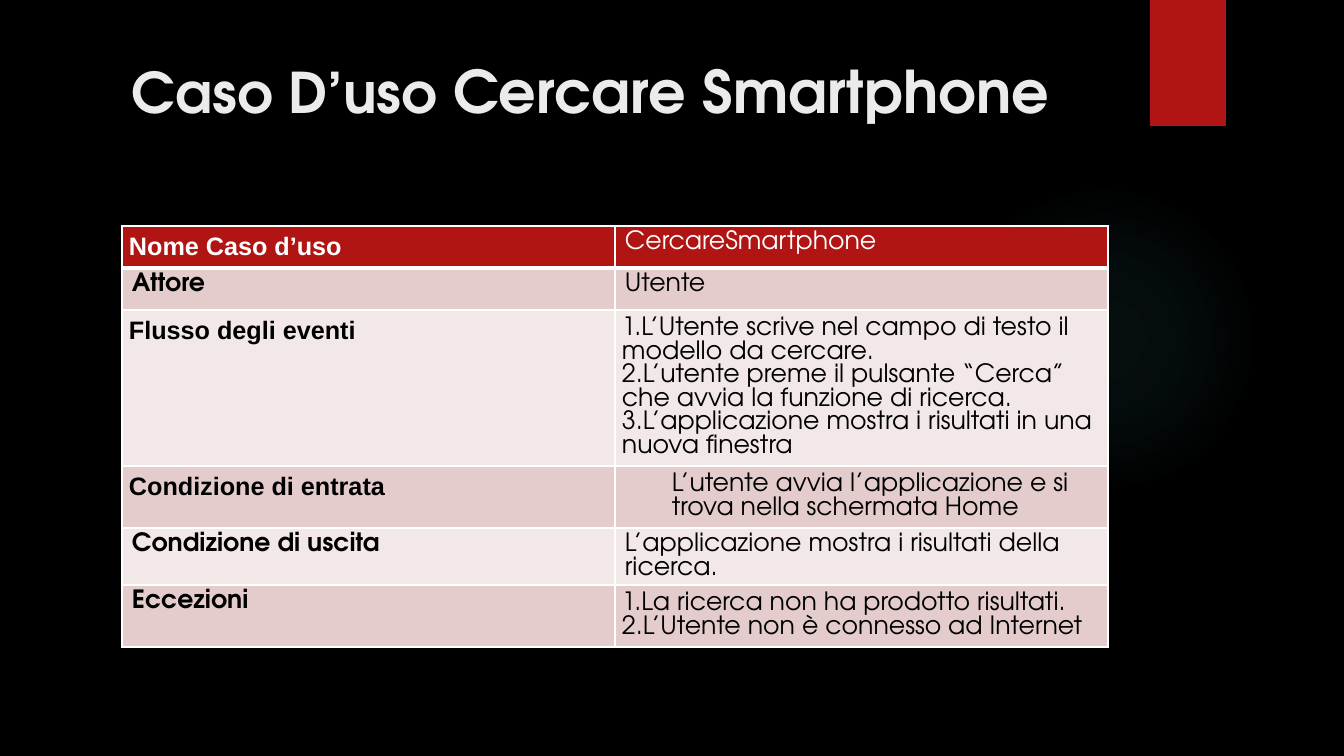
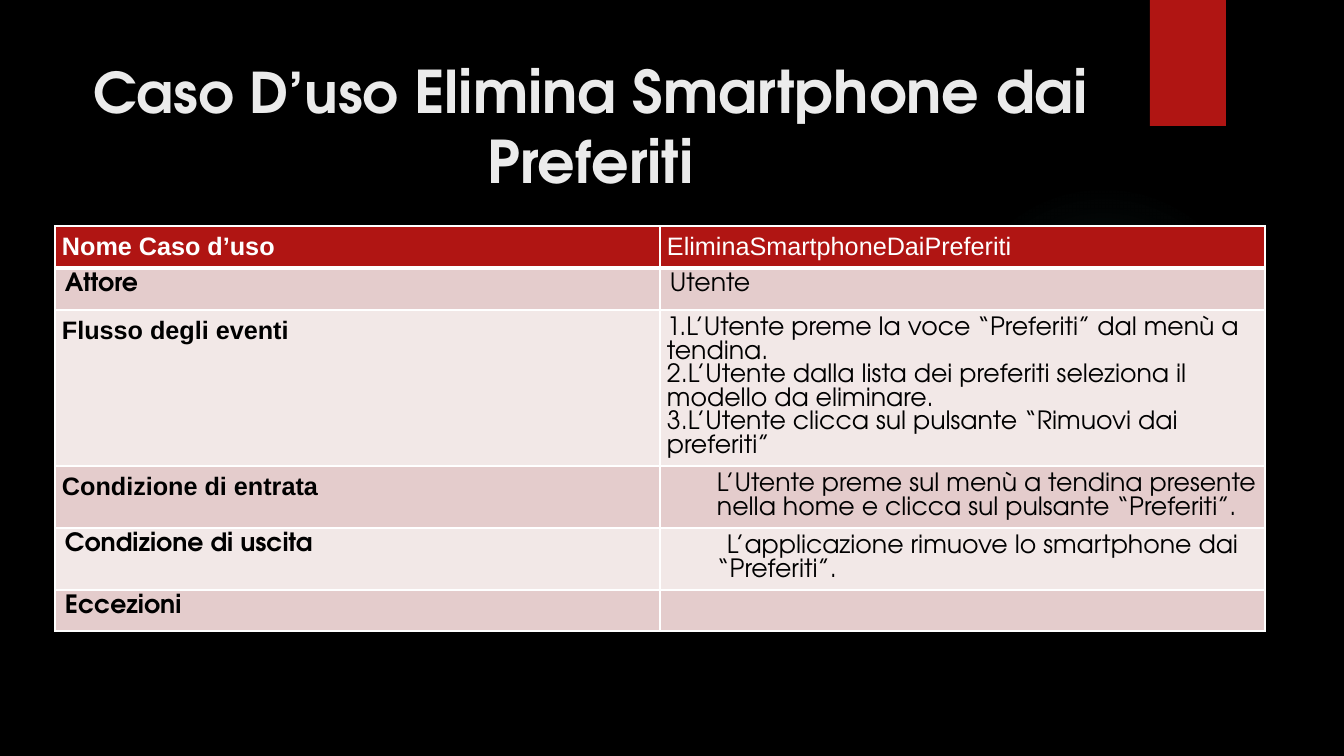
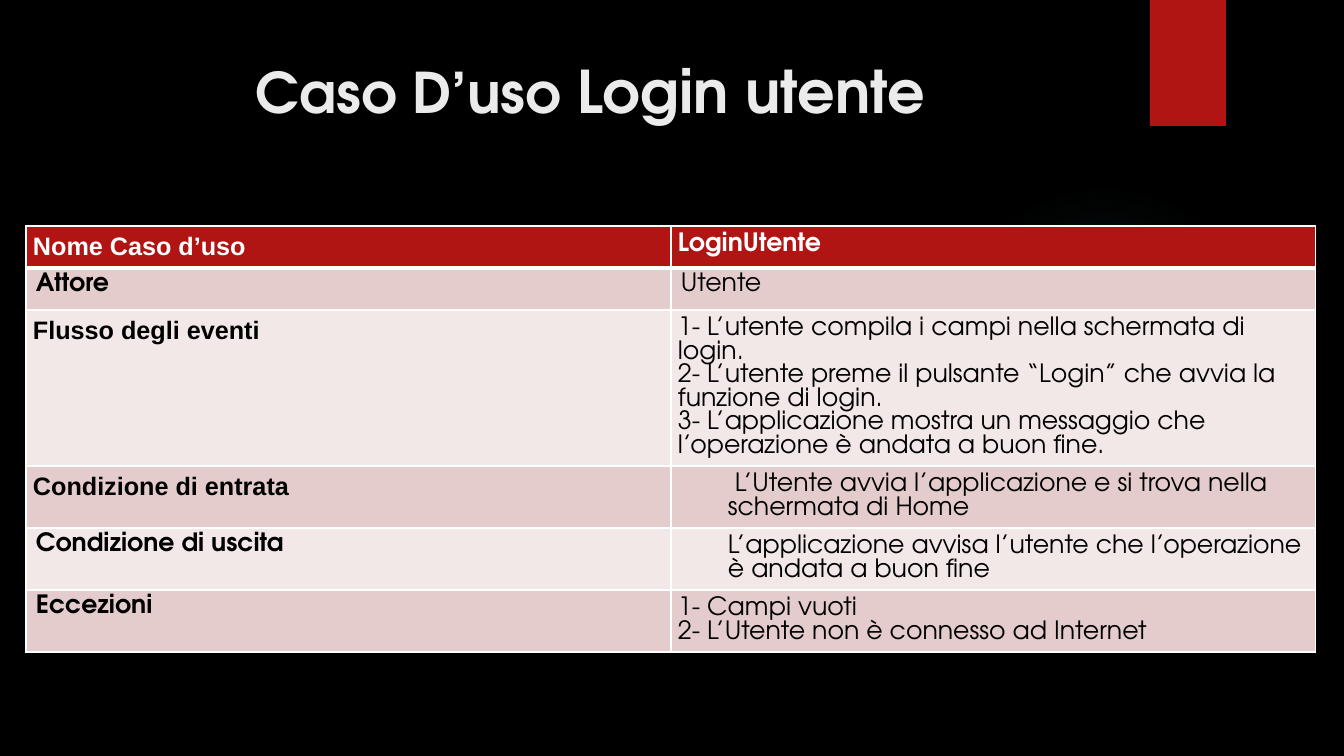
from dataclasses import dataclass

from lxml.etree import SubElement
from pptx import Presentation
from pptx.dml.color import RGBColor
from pptx.enum.shapes import MSO_SHAPE
from pptx.enum.text import MSO_ANCHOR, MSO_AUTO_SIZE, PP_ALIGN
from pptx.oxml import parse_xml
from pptx.oxml.ns import nsdecls, qn
from pptx.util import Emu, Pt


@dataclass(frozen=True)
class Theme:
    background: str = "000000"
    accent: str = "B01513"
    glow: str = "50B9C1"
    heading: str = "EBEBEB"
    white: str = "FFFFFF"
    ink: str = "000000"
    odd_row: str = "E4CCCC"
    even_row: str = "F2E8E7"
    display: str = "TeX Gyre Adventor"
    plain: str = "Arial"
    prefix_size: int = 40
    title_size: int = 42
    title_leading: float = 50
    cell_size: int = 18
    cell_leading: float = 16.8


THEME = Theme()
SLIDE = (1344, 756)
TITLE_BOX = (72, 50, 1037, 154)
BAND_BOX = (1150, 0, 76, 126)
GLOW_BOX = (949, 184, 310, 310)
GLOW_STOPS = [(0, 7), (36, 6), (69, 0)]
TABLE_TOP = 226
WIDE_INSETS = (10, 5, 10, 5)
TIGHT_INSETS = (7, 7, 7, 4)
TITLE_PREFIX = "Caso D’uso "

LABELS = [
    ("Nome Caso d’uso", THEME.plain),
    ("Attore", THEME.display),
    ("Flusso degli eventi", THEME.plain),
    ("Condizione di entrata", THEME.plain),
    ("Condizione di uscita", THEME.display),
    ("Eccezioni", THEME.display),
]

WIDE = dict(insets=WIDE_INSETS)
TIGHT = dict(insets=TIGHT_INSETS)
NUMBERED = dict(insets=TIGHT_INSETS, numbered=True)
INDENTED = dict(insets=TIGHT_INSETS, left=50)

USE_CASES = [
    dict(
        title="Cercare Smartphone",
        left=122,
        column=493,
        heights=[42, 42, 156, 62, 57, 62],
        details=[
            (["CercareSmartphone"], WIDE),
            (["Utente"], WIDE),
            ([
                "L’Utente scrive nel campo di testo il modello da cercare.",
                "L’utente preme il pulsante “Cerca” che avvia la funzione di ricerca.",
                "L’applicazione mostra i risultati in una nuova finestra",
            ], NUMBERED),
            (["L’utente avvia l’applicazione e si trova nella schermata Home"], INDENTED),
            (["L’applicazione mostra i risultati della ricerca."], WIDE),
            ([
                "La ricerca non ha prodotto risultati.",
                "L’Utente non è connesso ad Internet",
            ], NUMBERED),
        ],
    ),
    dict(
        title="Elimina Smartphone dai Preferiti",
        left=55,
        column=605,
        heights=[42, 42, 156, 62, 62, 41],
        details=[
            (["EliminaSmartphoneDaiPreferiti"], TIGHT | dict(font=THEME.plain)),
            (["Utente"], WIDE),
            ([
                "L’Utente preme la voce “Preferiti” dal menù a tendina.",
                "L’Utente dalla lista dei preferiti seleziona il modello da eliminare.",
                "L’Utente clicca sul pulsante “Rimuovi dai preferiti”",
            ], NUMBERED),
            (["L’Utente preme sul menù a tendina presente nella home e clicca sul "
              "pulsante “Preferiti”."], INDENTED),
            (["L’applicazione rimuove lo smartphone dai “Preferiti”."],
             INDENTED | dict(first=10)),
            ([], WIDE),
        ],
    ),
    dict(
        title="Login utente",
        left=26,
        column=645,
        heights=[42, 42, 156, 62, 62, 62],
        details=[
            (["LoginUtente"], TIGHT | dict(bold=True)),
            (["Utente"], WIDE),
            ([
                "1- L’utente compila i campi nella schermata di login.",
                "2- L’utente preme il pulsante “Login” che avvia la funzione di login.",
                "3- L’applicazione mostra un messaggio che l’operazione è andata a buon fine.",
            ], TIGHT),
            (["L’Utente avvia l’applicazione e si trova nella schermata di Home"],
             INDENTED | dict(first=7)),
            (["L’applicazione avvisa l’utente che l’operazione è andata a buon fine"], INDENTED),
            (["1- Campi vuoti", "2- L’Utente non è connesso ad Internet"], TIGHT),
        ],
    ),
]


def px(length):
    return Emu(round(length * 914400 / 100.8))


def box(bounds):
    return [px(length) for length in bounds]


def write(paragraph, text, *, size=THEME.cell_size, color=THEME.ink, font=THEME.display,
          bold=False, leading=None, align=PP_ALIGN.LEFT, left=0, first=0, numbered=False):
    paragraph.alignment = align
    if leading:
        paragraph.line_spacing = Pt(leading)
    properties = paragraph._p.get_or_add_pPr()
    properties.set("marL", str(px(left)))
    properties.set("indent", str(px(first)))
    if numbered:
        SubElement(properties, qn("a:buAutoNum"), type="arabicPeriod")
    run = paragraph.add_run()
    run.text = text
    run.font.size = Pt(size)
    run.font.name = font
    run.font.bold = bold
    run.font.color.rgb = RGBColor.from_string(color)


def add_decor(slide):
    glow = slide.shapes.add_shape(MSO_SHAPE.OVAL, *box(GLOW_BOX))
    band = slide.shapes.add_shape(MSO_SHAPE.RECTANGLE, *box(BAND_BOX))
    for decor in (glow, band):
        decor.shadow.inherit = False
        decor.line.fill.background()
    band.fill.solid()
    band.fill.fore_color.rgb = RGBColor.from_string(THEME.accent)
    stops = "".join(
        f'<a:gs pos="{position * 1000}"><a:srgbClr val="{THEME.glow}">'
        f'<a:alpha val="{opacity * 1000}"/></a:srgbClr></a:gs>'
        for position, opacity in GLOW_STOPS
    )
    gradient = parse_xml(
        f'<a:gradFill {nsdecls("a")}><a:gsLst>{stops}</a:gsLst><a:path path="circle">'
        '<a:fillToRect l="50000" t="50000" r="50000" b="50000"/></a:path></a:gradFill>'
    )
    glow._element.spPr.find(qn("a:prstGeom")).addnext(gradient)


def add_title(slide, name):
    title = slide.shapes.title
    title.left, title.top, title.width, title.height = box(TITLE_BOX)
    frame = title.text_frame
    frame.word_wrap = True
    frame.auto_size = MSO_AUTO_SIZE.NONE
    frame.vertical_anchor = MSO_ANCHOR.TOP
    for text, size in ((TITLE_PREFIX, THEME.prefix_size), (name, THEME.title_size)):
        write(frame.paragraphs[0], text, size=size, color=THEME.heading, bold=True,
              leading=THEME.title_leading, align=PP_ALIGN.CENTER)


def set_borders(cell, row):
    widths = dict(L=1, R=1, T=3 if row == 1 else 1, B=3 if row == 0 else 1)
    properties = cell._tc.get_or_add_tcPr()
    for index, (side, width) in enumerate(widths.items()):
        properties.insert(index, parse_xml(
            f'<a:ln{side} {nsdecls("a")} w="{Pt(width)}"><a:solidFill>'
            f'<a:srgbClr val="{THEME.white}"/></a:solidFill></a:ln{side}>'
        ))


def fill_cell(cell, row, paragraphs, *, insets, font=THEME.display, **text_format):
    cell.margin_left, cell.margin_top, cell.margin_right, cell.margin_bottom = box(insets)
    cell.vertical_anchor = MSO_ANCHOR.TOP
    row_color = THEME.odd_row if row % 2 else THEME.even_row
    cell.fill.solid()
    cell.fill.fore_color.rgb = RGBColor.from_string(row_color if row else THEME.accent)
    set_borders(cell, row)
    frame = cell.text_frame
    for index, text in enumerate(paragraphs):
        paragraph = frame.add_paragraph() if index else frame.paragraphs[0]
        write(paragraph, text, font=font, color=THEME.ink if row else THEME.white,
              leading=THEME.cell_leading if font == THEME.display else None, **text_format)


def add_use_case(slide, use_case):
    column, heights = use_case["column"], use_case["heights"]
    bounds = (use_case["left"], TABLE_TOP, 2 * column, sum(heights))
    table = slide.shapes.add_table(len(LABELS), 2, *box(bounds)).table
    table.horz_banding = False
    for table_column in table.columns:
        table_column.width = px(column)
    rows = zip(LABELS, use_case["details"], heights)
    for row, ((label, font), (paragraphs, detail_format), height) in enumerate(rows):
        table.rows[row].height = px(height)
        insets = TIGHT_INSETS if font == THEME.plain else WIDE_INSETS
        fill_cell(table.cell(row, 0), row, [label], insets=insets, font=font, bold=True)
        fill_cell(table.cell(row, 1), row, paragraphs, **detail_format)


def main():
    deck = Presentation()
    deck.slide_width, deck.slide_height = box(SLIDE)
    backdrop = deck.slide_master.background.fill
    backdrop.solid()
    backdrop.fore_color.rgb = RGBColor.from_string(THEME.background)
    for use_case in USE_CASES:
        slide = deck.slides.add_slide(deck.slide_layouts[5])
        add_decor(slide)
        add_title(slide, use_case["title"])
        add_use_case(slide, use_case)
    deck.save("out.pptx")


if __name__ == "__main__":
    main()
